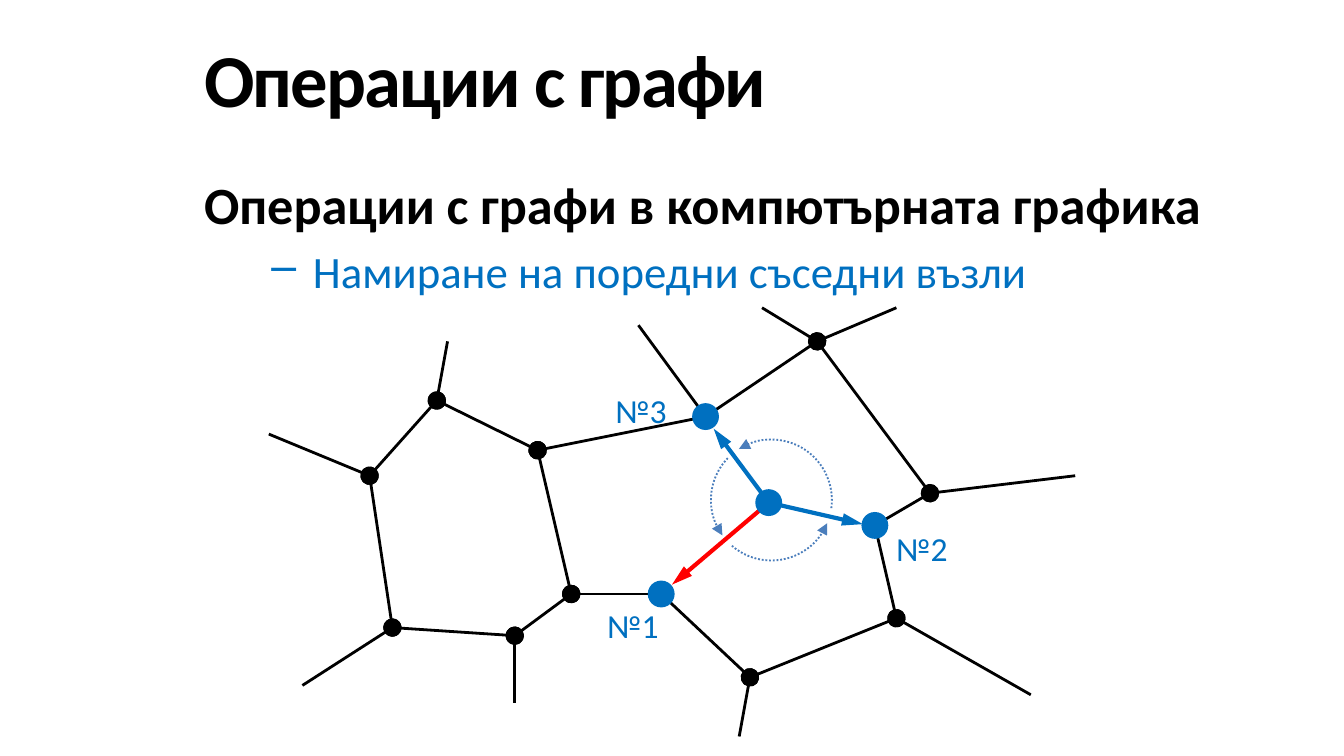
from typing import NamedTuple

from lxml import etree
from pptx import Presentation
from pptx.dml.color import RGBColor
from pptx.enum.dml import MSO_LINE
from pptx.enum.shapes import MSO_CONNECTOR, MSO_SHAPE
from pptx.enum.text import MSO_ANCHOR, PP_ALIGN
from pptx.oxml.ns import qn
from pptx.util import Inches, Pt

STRAIGHT = MSO_CONNECTOR.STRAIGHT
OVAL, ARC = MSO_SHAPE.OVAL, MSO_SHAPE.ARC
DOTTED = MSO_LINE.ROUND_DOT
MIDDLE, LEFT = MSO_ANCHOR.MIDDLE, PP_ALIGN.LEFT
TITLE_ONLY = 5

COLUMNS, ROWS = 100, 56.25
CELL = Inches(10) / COLUMNS
FONT = "Calibri"
BLACK, BLUE, RED, ARC_BLUE = "000000", "0070C0", "FF0000", "4B7EBC"
NODE_SIZE, ORBIT_SIZE = 2, 9


class Point(NamedTuple):
    column: float
    row: float


class Arrow(NamedTuple):
    target: Point
    color: str


class Label(NamedTuple):
    text: str
    corner: Point


NODES = {
    "top left": Point(32.5, 29.8),
    "far left": Point(27.5, 35.4),
    "bottom left": Point(29.2, 46.7),
    "bottom": Point(38.3, 47.3),
    "inner": Point(42.5, 44.2),
    "upper inner": Point(40, 33.5),
    "first": Point(49.2, 44.2),
    "second": Point(65.1, 39.1),
    "third": Point(52.5, 31),
    "top": Point(60.8, 25.4),
    "right": Point(69.2, 36.7),
    "lower right": Point(66.7, 46),
    "lowest": Point(55.8, 50.4),
}
EDGES = [
    ("top left", "far left"), ("far left", "bottom left"), ("bottom left", "bottom"),
    ("bottom", "inner"), ("inner", "upper inner"), ("upper inner", "top left"),
    ("upper inner", "third"), ("inner", "first"), ("third", "top"),
    ("top", "right"), ("right", "second"), ("second", "lower right"),
    ("lower right", "lowest"), ("lowest", "first"),
]
LOOSE_ENDS = [
    ("third", Point(47.5, 24.2)), ("lower right", Point(76.7, 51.7)),
    ("lowest", Point(55, 54.8)), ("bottom", Point(38.3, 52.3)),
    ("right", Point(80, 35.4)), ("top", Point(66.7, 22.9)),
    ("top", Point(56.7, 22.9)), ("top left", Point(33.3, 25.4)),
    ("far left", Point(20, 32.3)), ("bottom left", Point(22.5, 51)),
]
HUB = Point(57.2, 37.4)
ARROWS = [
    Arrow(Point(53.1, 31.9), BLUE),
    Arrow(Point(50, 43.5), RED),
    Arrow(Point(64.2, 39), BLUE),
]
LABELS = [
    Label("№1", Point(44.2, 44.5)),
    Label("№2", Point(65.7, 38.8)),
    Label("№3", Point(44.8, 28.5)),
]
ORBIT_CORNER = Point(52.9, 32.7)
ORBIT_ARCS = [(137.53, 202.48), (81.72, 129.52), (211.38, 73.52)]


def cells(count: float) -> int:
    return round(count * CELL)


def rgb(color: str) -> RGBColor:
    return RGBColor.from_string(color)


def add_line_end(line, end: str, kind: str, width: str, length: str) -> None:
    etree.SubElement(line._get_or_add_ln(), qn(f"a:{end}"), type=kind, w=width, len=length)


def add_line(slide, start: Point, finish: Point, color: str = BLACK, width: float = 1.5):
    connector = slide.shapes.add_connector(
        STRAIGHT, *(cells(value) for value in (*start, *finish)))
    connector.line.color.rgb = rgb(color)
    connector.line.width = Pt(width)
    etree.SubElement(connector._element.spPr, qn("a:effectLst"))
    return connector


def add_edge(slide, start: Point, finish: Point) -> None:
    line = add_line(slide, start, finish).line
    for end in ("headEnd", "tailEnd"):
        add_line_end(line, end, "oval", "lg", "lg")


def add_node(slide, center: Point) -> None:
    """Draw a highlighted node."""
    node = slide.shapes.add_shape(
        OVAL, cells(center.column - NODE_SIZE / 2), cells(center.row - NODE_SIZE / 2),
        cells(NODE_SIZE), cells(NODE_SIZE))
    node.shadow.inherit = False
    node.fill.solid()
    node.fill.fore_color.rgb = rgb(BLUE)
    node.line.fill.background()


def add_orbit_arc(slide, first: float, last: float) -> None:
    """Draw a vertically mirrored dotted arc, so that it runs anticlockwise."""
    arc = slide.shapes.add_shape(
        ARC, *(cells(value) for value in (*ORBIT_CORNER, ORBIT_SIZE, ORBIT_SIZE)))
    arc.adjustments[0], arc.adjustments[1] = first, last
    arc.rotation = 180
    arc._element.spPr.get_or_add_xfrm().set("flipH", "1")
    arc.shadow.inherit = False
    arc.fill.background()
    arc.line.color.rgb = rgb(ARC_BLUE)
    arc.line.width = Pt(1)
    arc.line.dash_style = DOTTED
    add_line_end(arc.line, "tailEnd", "triangle", "med", "med")


def add_run(paragraph, text: str, size: float, color: str, bold: bool = False):
    run = paragraph.add_run()
    run.text = text
    run.font.name = FONT
    run.font.size = Pt(size)
    run.font.bold = bold
    run.font.color.rgb = rgb(color)
    return run


def add_text_frame(slide, corner: Point, width: float, height: float):
    box = slide.shapes.add_textbox(
        *(cells(value) for value in (*corner, width, height)))
    box.text_frame.word_wrap = True
    return box.text_frame


def add_title(slide) -> None:
    title = slide.shapes.title
    title.left, title.top = cells(14.2), cells(1.5)
    title.width, title.height = cells(85.8), cells(8.5)
    title.text_frame.vertical_anchor = MIDDLE
    paragraph = title.text_frame.paragraphs[0]
    paragraph.alignment = LEFT
    run = add_run(paragraph, "Операции с графи", 40, BLACK, True)
    run.font._element.set("spc", "-100")


def add_body(slide) -> None:
    frame = add_text_frame(slide, Point(14.2, 12.3), 85.8, 40.8)
    add_run(frame.paragraphs[0], "Операции с графи в компютърната графика", 28, BLACK, True)
    item = frame.add_paragraph()
    item.level = 1
    item.space_before = Pt(4.8)
    properties = item._p.get_or_add_pPr()
    properties.set("marL", str(cells(8.1)))
    properties.set("indent", str(cells(-3.1)))
    etree.SubElement(properties, qn("a:buChar"), char="–")
    add_run(item, "Намиране на поредни съседни възли", 24, BLUE)


def add_graph(slide) -> None:
    for name, end in LOOSE_ENDS:
        add_line(slide, NODES[name], end)
    for start, finish in EDGES:
        add_edge(slide, NODES[start], NODES[finish])
    for arrow in ARROWS:
        connector = add_line(slide, HUB, arrow.target, arrow.color, 2.25)
        add_line_end(connector.line, "tailEnd", "triangle", "med", "lg")
    for center in (NODES["first"], NODES["second"], NODES["third"], HUB):
        add_node(slide, center)
    for label in LABELS:
        frame = add_text_frame(slide, label.corner, 6.7, 4)
        add_run(frame.paragraphs[0], label.text, 18, BLUE)
    for first, last in ORBIT_ARCS:
        add_orbit_arc(slide, first, last)


def main() -> None:
    presentation = Presentation()
    presentation.slide_width, presentation.slide_height = cells(COLUMNS), cells(ROWS)
    slide = presentation.slides.add_slide(presentation.slide_layouts[TITLE_ONLY])
    add_title(slide)
    add_body(slide)
    add_graph(slide)
    presentation.save("out.pptx")


if __name__ == "__main__":
    main()
